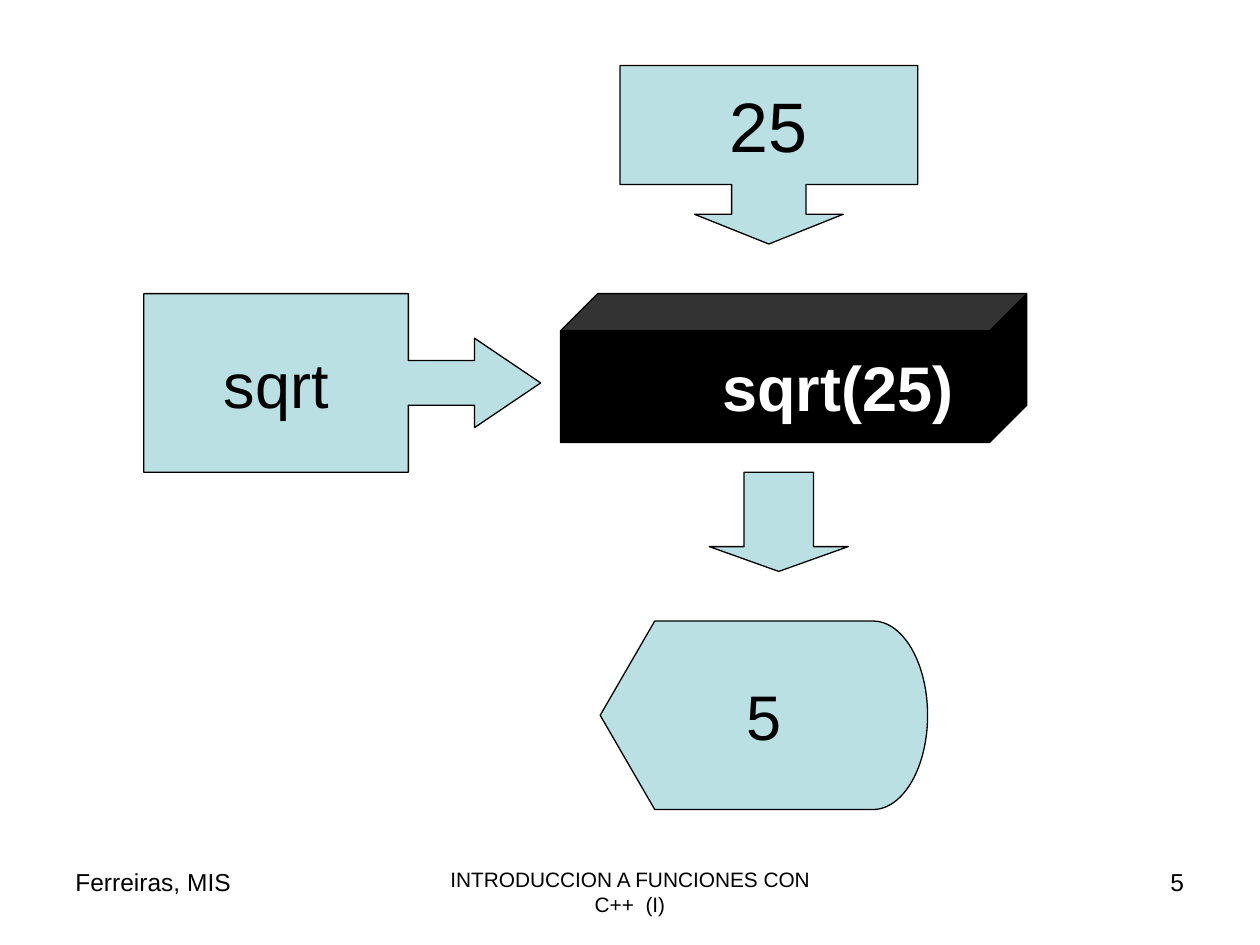
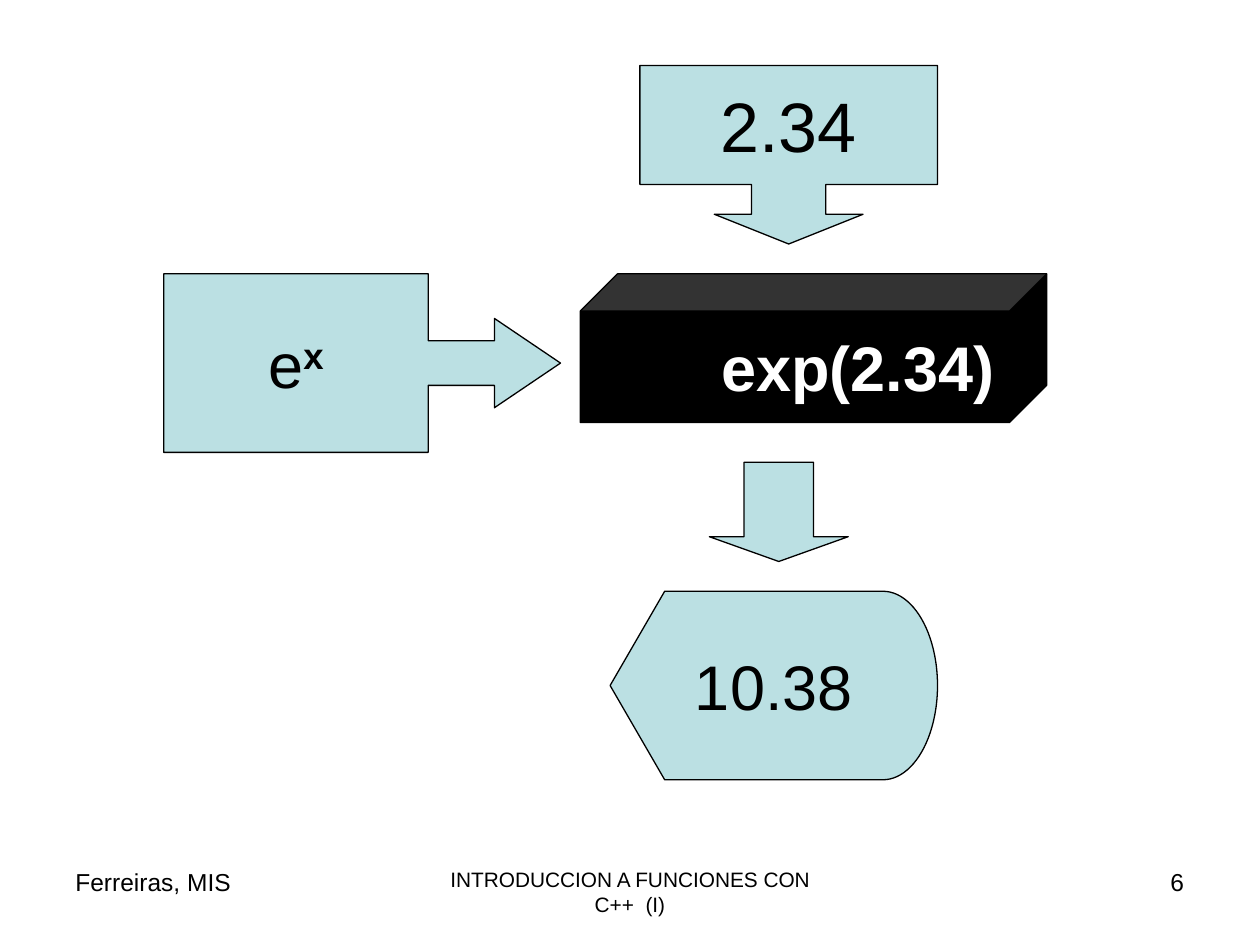
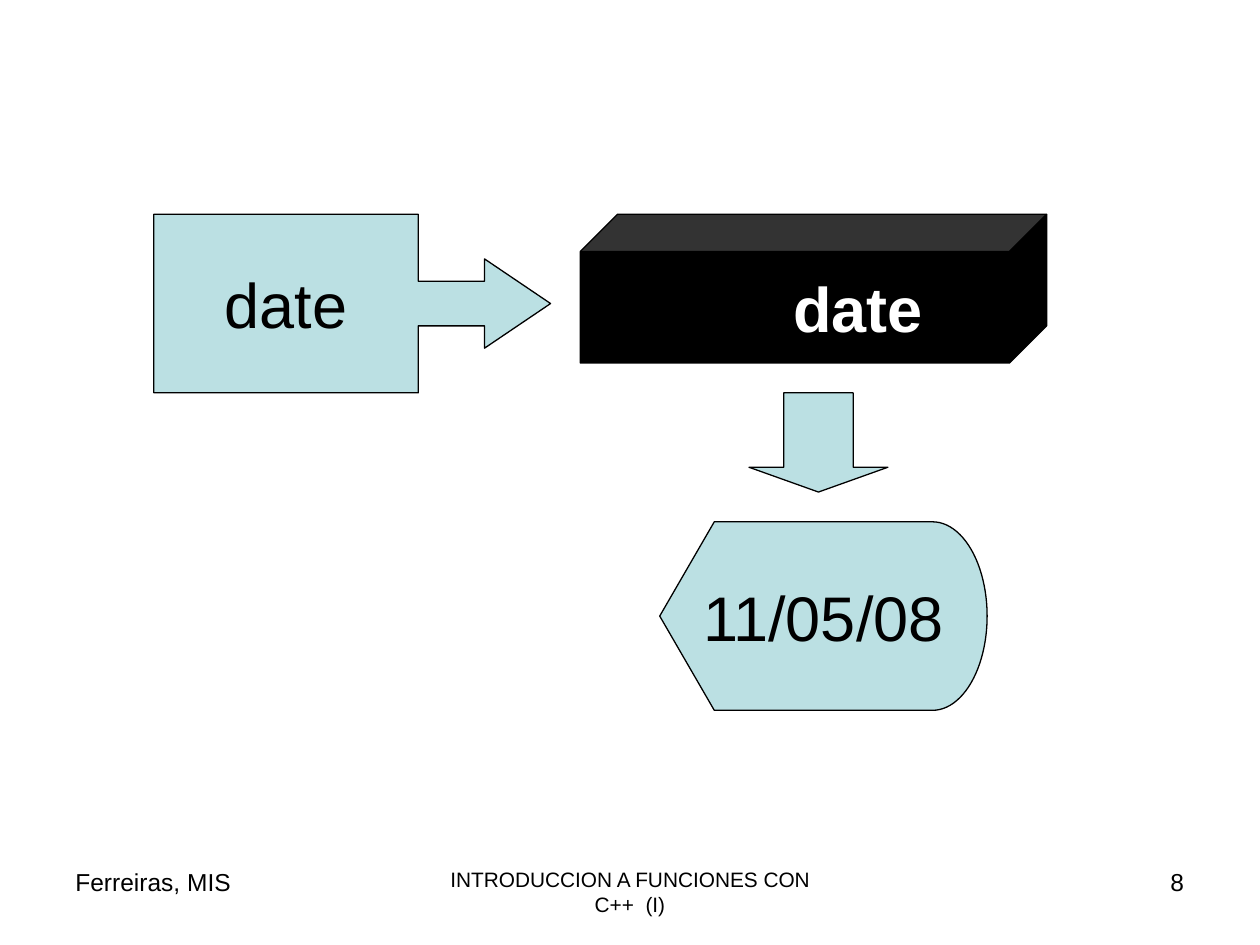
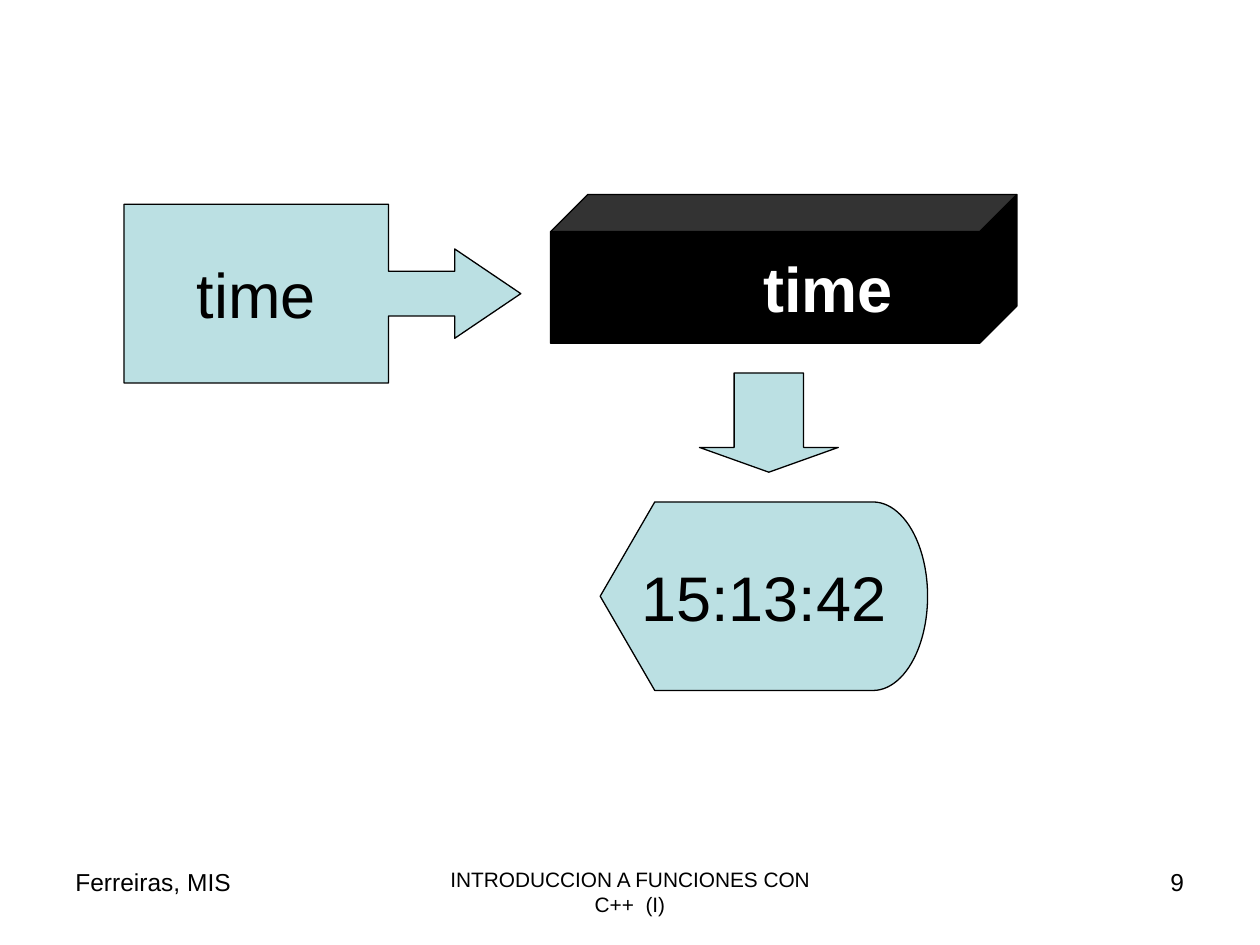
from lxml import etree
from pptx import Presentation
from pptx.dml.color import RGBColor
from pptx.enum.shapes import MSO_SHAPE
from pptx.enum.text import MSO_ANCHOR, PP_ALIGN
from pptx.oxml.ns import qn
from pptx.util import Cm, Inches, Pt

INPUT_CALLOUT = MSO_SHAPE.DOWN_ARROW_CALLOUT
FUNCTION_CALLOUT = MSO_SHAPE.RIGHT_ARROW_CALLOUT
RESULT_ARROW = MSO_SHAPE.DOWN_ARROW
BLACK_BOX = MSO_SHAPE.CUBE
DISPLAY = MSO_SHAPE.FLOWCHART_DISPLAY
MIDDLE = MSO_ANCHOR.MIDDLE
LEFT, CENTER, RIGHT = PP_ALIGN.LEFT, PP_ALIGN.CENTER, PP_ALIGN.RIGHT

BLACK = RGBColor(0x00, 0x00, 0x00)
WHITE = RGBColor(0xFF, 0xFF, 0xFF)
PALE_TEAL = RGBColor(0xBB, 0xE0, 0xE3)
FONT = "Arial"

SIZES = {
    INPUT_CALLOUT: (6, 3.6),
    FUNCTION_CALLOUT: (8, 3.6),
    RESULT_ARROW: (2.8, 2),
    BLACK_BOX: (9.4, 3),
    DISPLAY: (6.6, 3.8),
}
ADJUSTMENTS = {
    INPUT_CALLOUT: (5 / 12, 5 / 12, 1 / 6, 2 / 3),
    FUNCTION_CALLOUT: (0.25, 0.25, 0.37, 2 / 3),
    RESULT_ARROW: (0.5, 0.25),
    BLACK_BOX: (0.25,),
    DISPLAY: (),
}


def write(paragraph, parts, size, color=BLACK, align=CENTER, bold=False):
    paragraph.alignment = align
    paragraph.font.name = FONT
    paragraph.font.size = Pt(size)
    paragraph.font.bold = bold
    paragraph.font.color.rgb = color
    for part in parts:
        paragraph.add_run().text = part


def add_stage(slide, kind, left, top, fill=PALE_TEAL):
    width, height = SIZES[kind]
    stage = slide.shapes.add_shape(kind, Cm(left), Cm(top), Cm(width), Cm(height))
    for index, value in enumerate(ADJUSTMENTS[kind]):
        stage.adjustments[index] = value
    stage.shadow.inherit = False
    stage.fill.solid()
    stage.fill.fore_color.rgb = fill
    stage.line.color.rgb = BLACK
    stage.line.width = Pt(0.75)
    stage.text_frame.word_wrap = False
    stage.text_frame.vertical_anchor = MIDDLE
    return stage.text_frame.paragraphs[0]


FUNCTION_SLIDES = [
    {
        "number": "5", "input": ("25", 12.5, 1.32), "function": (["sqrt"], 2.9, 5.92),
        "call": ("sqrt(25)", 18, 11.3, 5.92), "arrow": (14.3, 9.52),
        "result": ("5", 12.1, 12.52),
    },
    {
        "number": "6", "input": ("2.34", 12.9, 1.32), "function": (["e", "x"], 3.3, 5.52),
        "call": ("exp(2.34)", 18, 11.7, 5.52), "arrow": (14.3, 9.32),
        "result": ("10.38", 12.3, 11.92),
    },
    {
        "number": "8", "input": None, "function": (["date"], 3.1, 4.32),
        "call": ("date", 24, 11.7, 4.32), "arrow": (15.1, 7.92),
        "result": ("11/05/08", 13.3, 10.52),
    },
    {
        "number": "9", "input": None, "function": (["time"], 2.5, 4.12),
        "call": ("time", 24, 11.1, 3.92), "arrow": (14.1, 7.52),
        "result": ("15:13:42", 12.1, 10.12),
    },
]

prs = Presentation()
prs.slide_width = Cm(25.4)
prs.slide_height = Cm(19.05)
blank_layout = prs.slide_layouts[6]

for content in FUNCTION_SLIDES:
    slide = prs.slides.add_slide(blank_layout)

    footers = [
        ("Ferreiras, MIS", 1.27, 5.92, 14, LEFT),
        ("INTRODUCCION A FUNCIONES CON C++  (I)", 8.68, 8.04, 11.9, CENTER),
        (content["number"], 18.2, 5.92, 14, RIGHT),
    ]
    for text, left, width, size, align in footers:
        footer = slide.shapes.add_textbox(Cm(left), Cm(17.35), Cm(width), Cm(1.32))
        footer.text_frame.word_wrap = True
        write(footer.text_frame.paragraphs[0], [text], size, align=align)

    if content["input"]:
        value, left, top = content["input"]
        write(add_stage(slide, INPUT_CALLOUT, left, top), [value], 40)

    function_parts, left, top = content["function"]
    function_name = add_stage(slide, FUNCTION_CALLOUT, left, top)
    write(function_name, function_parts, 36)
    for exponent in function_name.runs[1:]:
        exponent.font.bold = True
        exponent.font._element.set("baseline", "30000")

    add_stage(slide, RESULT_ARROW, *content["arrow"])

    call, tab_size, left, top = content["call"]
    call_text = add_stage(slide, BLACK_BOX, left, top, BLACK)
    tab_list = etree.SubElement(call_text._p.get_or_add_pPr(), qn("a:tabLst"))
    for inch in range(8):
        etree.SubElement(tab_list, qn("a:tab"), pos=str(Inches(inch)), algn="l")
    write(call_text, ["\t", call], 36, WHITE, bold=True)
    call_text.runs[0].font.size = Pt(tab_size)

    result, left, top = content["result"]
    write(add_stage(slide, DISPLAY, left, top), [result], 36)

prs.save("out.pptx")
